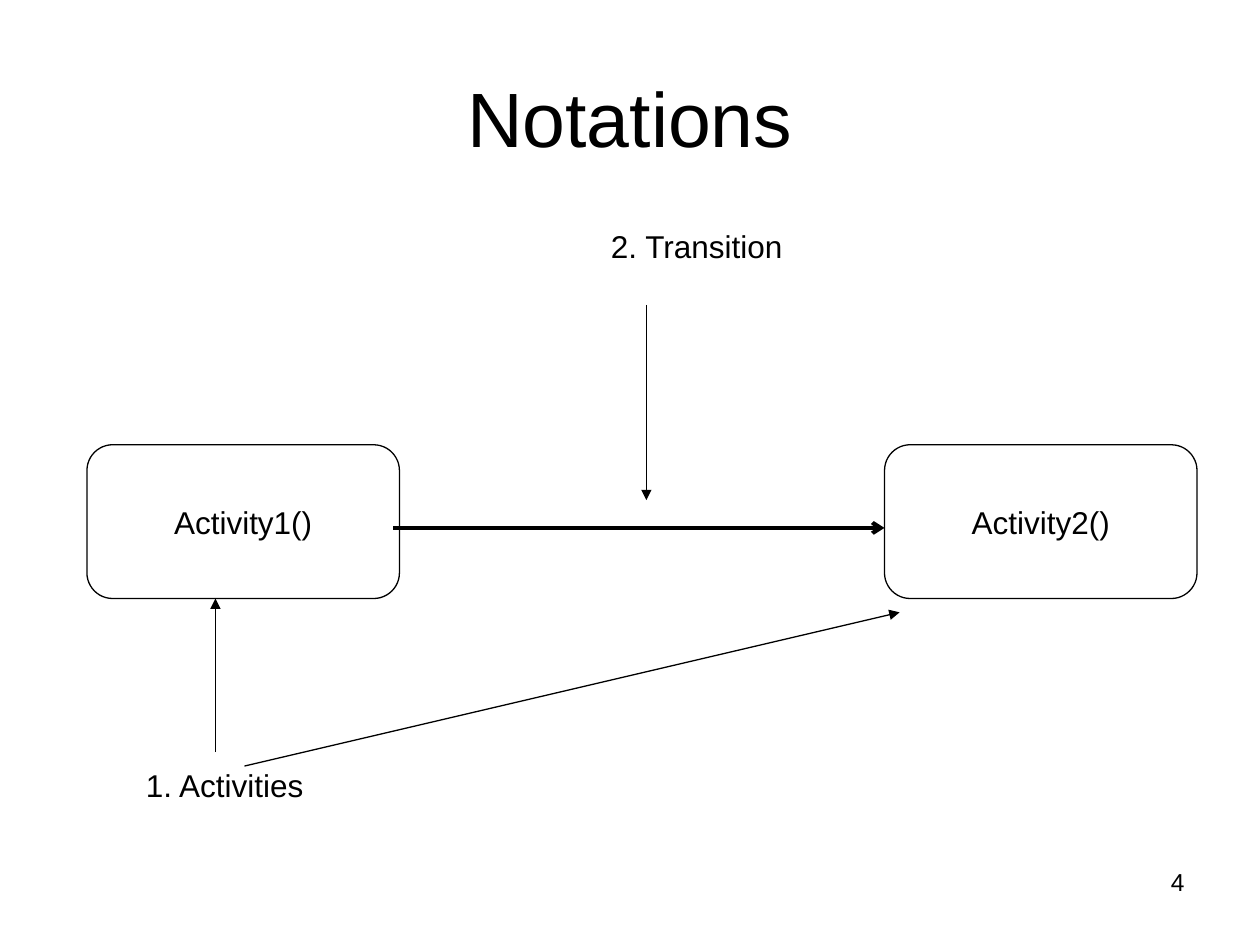
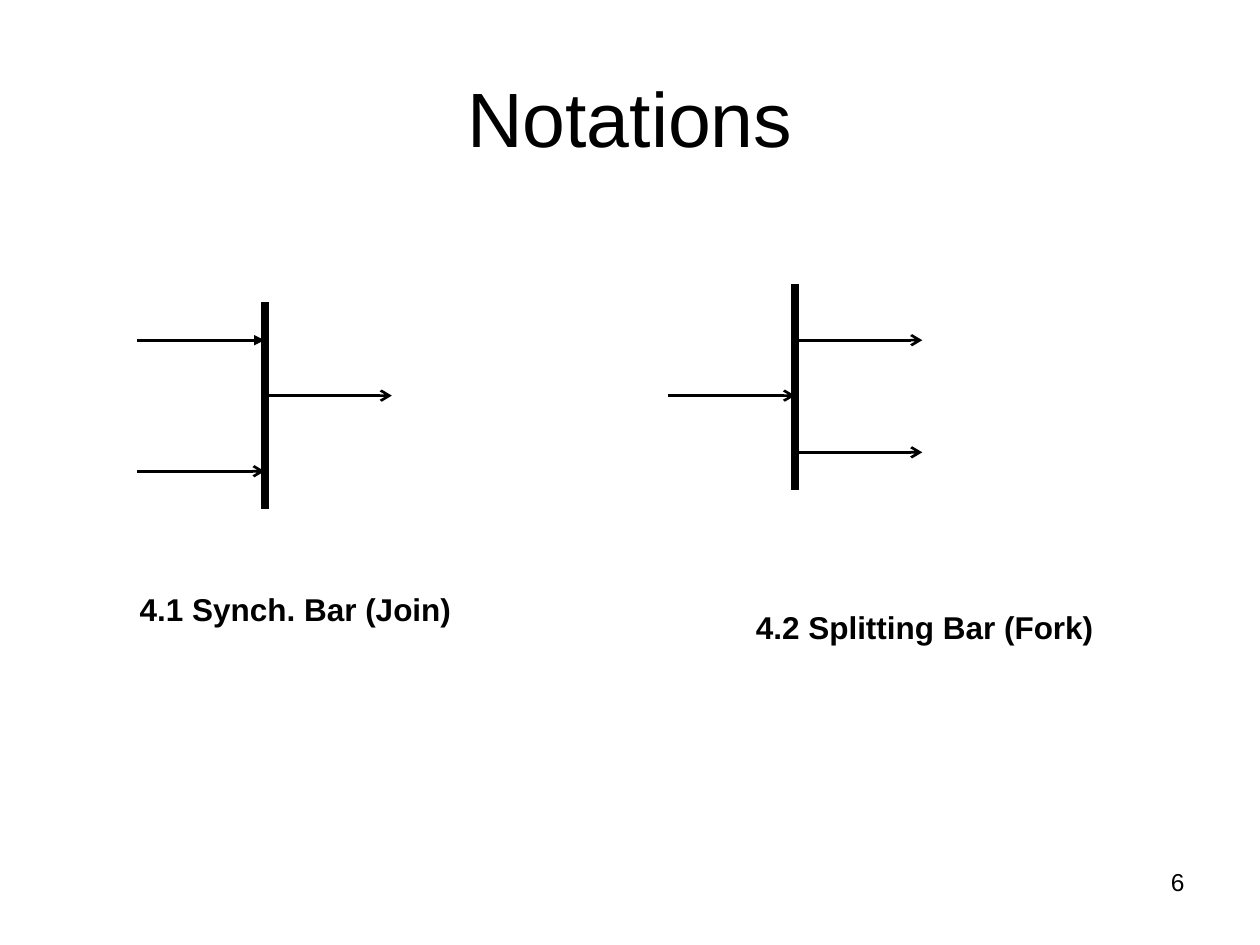
from lxml import etree
from pptx import Presentation
from pptx.dml.color import RGBColor
from pptx.enum import shapes, text
from pptx.oxml.ns import qn
from pptx.util import Inches, Pt

INK = "000000"
PAPER = "FFFFFF"
FONT = "Arial"
THIN, FLOW, THICK, BAR = 0.74, 1.5, 2.24, 4.51
ALIGN = text.PP_ALIGN
ANCHOR = text.MSO_ANCHOR


def color(hex_code):
    """Turn a hex string into a colour."""
    return RGBColor.from_string(hex_code)


def write(frame, words, size, align=ALIGN.LEFT, anchor=ANCHOR.TOP, bold=False, wrap=False):
    """Put one styled line of words into a text frame."""
    frame.text = words
    frame.word_wrap = wrap
    frame.vertical_anchor = anchor
    line = frame.paragraphs[0]
    line.alignment = align
    font = line.runs[0].font
    font.name, font.size, font.bold = FONT, Pt(size), bold
    font.color.rgb = color(INK)


def add_text(slide, box, words, size, **style):
    """Add a text box at left, top, width, height."""
    label = slide.shapes.add_textbox(*map(Inches, box))
    write(label.text_frame, words, size, **style)
    return label


def add_label(slide, left, top, width, words, bold=False):
    """Add a one-line diagram label that grows with its words."""
    label = add_text(slide, (left, top, width, 0.4), words, 18, bold=bold)
    label.text_frame.auto_size = text.MSO_AUTO_SIZE.SHAPE_TO_FIT_TEXT


def add_activity(slide, left, words):
    """Add a rounded activity box."""
    activity = slide.shapes.add_shape(
        shapes.MSO_SHAPE.ROUNDED_RECTANGLE, *map(Inches, (left, 3.53, 2.48, 1.22)))
    activity.adjustments[0] = 0.167
    activity.shadow.inherit = False
    activity.fill.solid()
    activity.fill.fore_color.rgb = color(PAPER)
    activity.line.color.rgb = color(INK)
    activity.line.width = Pt(THIN)
    write(activity.text_frame, words, 18, ALIGN.CENTER, ANCHOR.MIDDLE)


def add_line(slide, start, end, width, head=None):
    """Draw a straight line, with an arrowhead at its end if one is named."""
    line = slide.shapes.add_connector(
        shapes.MSO_CONNECTOR.STRAIGHT, *map(Inches, (*start, *end)))
    line.line.color.rgb = color(INK)
    line.line.width = Pt(width)
    if head:
        etree.SubElement(line.line._get_or_add_ln(), qn("a:tailEnd"), type=head)
    etree.SubElement(line._element.spPr, qn("a:effectLst"))


def add_bar(slide, x, top, incoming, outgoing):
    """Draw a bar with (height, head) arrows entering and leaving it."""
    add_line(slide, (x, top), (x, top + 1.64), BAR)
    for y, head in incoming:
        add_line(slide, (x - 1.01, y), (x, y), FLOW, head)
    for y, head in outgoing:
        add_line(slide, (x, y), (x + 1.01, y), FLOW, head)


def add_notation_slide(deck, number):
    """Add a blank slide with the shared title and its number."""
    slide = deck.slides.add_slide(deck.slide_layouts[6])
    slide.background.fill.solid()
    slide.background.fill.fore_color.rgb = color(PAPER)
    add_text(slide, (0.5, 0.3, 9, 1.25), "Notations", 44,
             align=ALIGN.CENTER, anchor=ANCHOR.MIDDLE, wrap=True)
    add_text(slide, (7.17, 6.83, 2.33, 0.52), str(number), 14, align=ALIGN.RIGHT, wrap=True)
    return slide


def build_transition(deck):
    """Build the slide on activities and the transition between them."""
    slide = add_notation_slide(deck, 4)
    add_activity(slide, 0.69, "Activity1()")
    add_activity(slide, 7.02, "Activity2()")
    add_line(slide, (3.12, 4.19), (7.02, 4.19), THICK, "arrow")
    add_label(slide, 1.06, 6.03, 1.46, "1. Activities")
    add_label(slide, 4.75, 1.75, 1.57, "2. Transition")
    for start, end in (((1.71, 5.97), (1.71, 4.75)),
                       ((1.94, 6.08), (7.14, 4.86)),
                       ((5.13, 2.42), (5.13, 3.97))):
        add_line(slide, start, end, THIN, "triangle")


def build_bars(deck):
    """Build the slide on the join and fork bars."""
    slide = add_notation_slide(deck, 6)
    add_label(slide, 1.01, 4.63, 2.67, "4.1 Synch. Bar (Join)", bold=True)
    add_bar(slide, 2.1, 2.4, [(2.7, "triangle"), (3.74, "arrow")], [(3.14, "arrow")])
    add_label(slide, 5.9, 4.78, 2.88, "4.2 Splitting Bar (Fork)", bold=True)
    add_bar(slide, 6.31, 2.25, [(3.14, "arrow")], [(3.59, "arrow"), (2.7, "arrow")])


def main():
    """Build and save the deck."""
    deck = Presentation()
    deck.slide_width, deck.slide_height = Inches(10), Inches(7.5)
    build_transition(deck)
    build_bars(deck)
    deck.save("out.pptx")


main()
